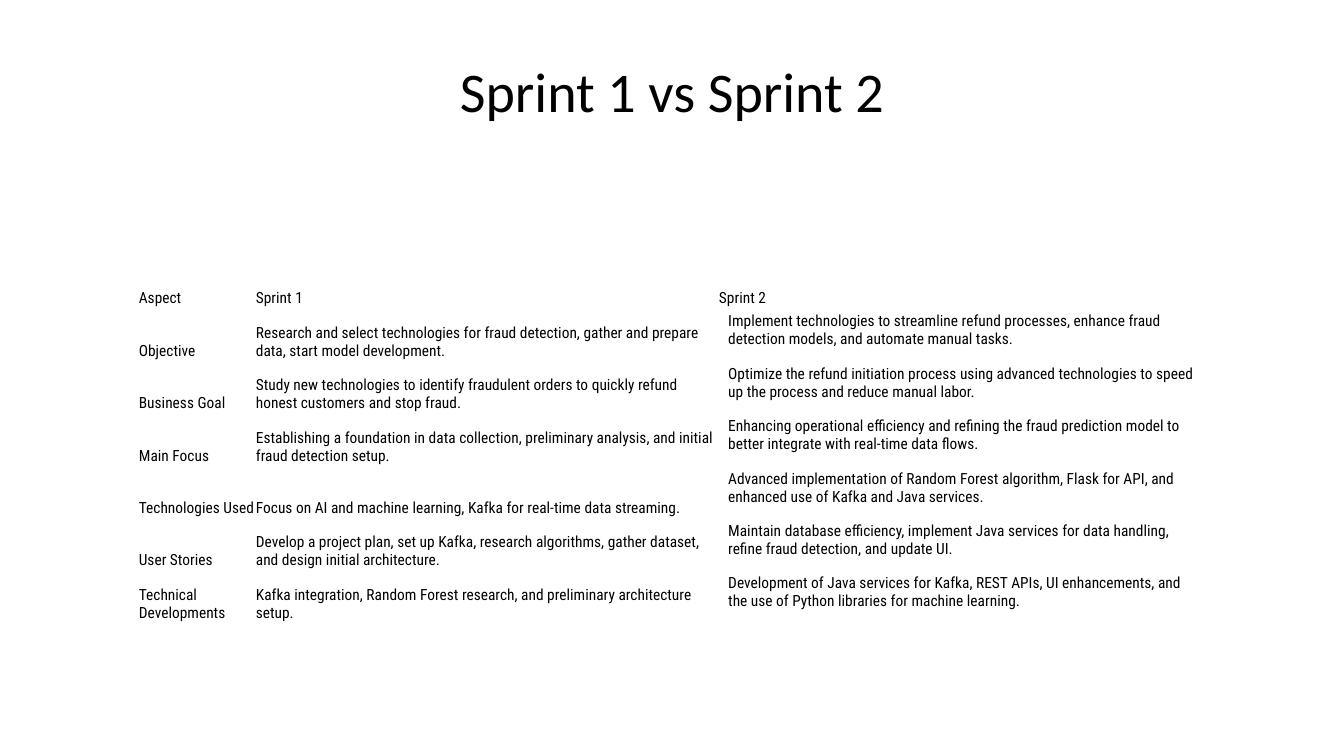
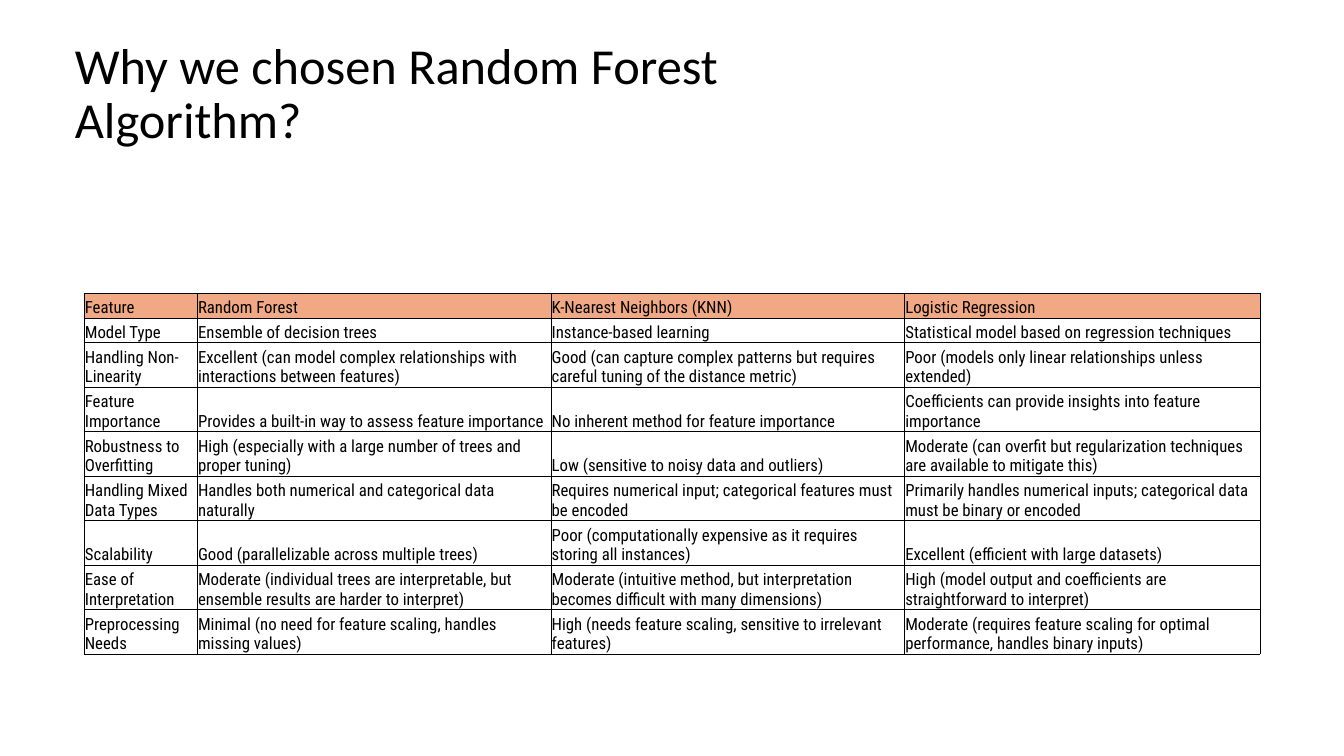
from dataclasses import dataclass
from typing import Optional

from lxml.etree import SubElement
from pptx import Presentation
from pptx.dml.color import RGBColor
from pptx.enum.shapes import MSO_SHAPE
from pptx.enum.text import MSO_ANCHOR, PP_ALIGN
from pptx.oxml import parse_xml
from pptx.oxml.ns import nsdecls, qn
from pptx.slide import Slide
from pptx.table import _Cell
from pptx.util import Pt


@dataclass(frozen=True)
class Theme:
    white: str = "FFFFFF"
    ink: str = "000000"
    header: str = "F1A983"
    title_font: str = "Calibri"
    table_font: str = "Roboto Condensed"
    sprint_title_size: float = 40
    algorithm_title_size: float = 36
    sprint_size: float = 11
    algorithm_size: float = 12
    title_spacing: float = 0.9
    border: float = 0.5
    slide_width: float = 960
    slide_height: float = 540
    band_height: float = 134


@dataclass(frozen=True)
class Box:
    left: float
    top: float
    width: float
    height: float


@dataclass(frozen=True)
class Title:
    text: str
    box: Box
    size: float
    align: PP_ALIGN


@dataclass(frozen=True)
class CellStyle:
    anchor: MSO_ANCHOR
    side: float
    top: float
    bottom: float


@dataclass(frozen=True)
class Grid:
    left: float
    top: float
    columns: tuple[float, ...]
    rows: tuple[float, ...]
    size: float
    cells: tuple[tuple[str, ...], ...]
    header_fill: Optional[str] = None
    bordered: bool = False
    merged_from: Optional[int] = None


THEME = Theme()
TIGHT = CellStyle(MSO_ANCHOR.BOTTOM, 0.6, 0.6, 0)
PADDED = CellStyle(MSO_ANCHOR.TOP, 7.2, 3.6, 3.6)
NO_TABLE_STYLE = "{2D5ABB26-0587-4C30-8999-92F81FD0307C}"

SPRINT_TITLE = Title(
    "Sprint 1 vs Sprint 2", Box(90, 21.6, 780, 91.4), THEME.sprint_title_size, PP_ALIGN.CENTER
)
SPRINTS = Grid(
    left=98.6,
    top=198.7,
    columns=(83.6, 330.8, 72) + (27.7,) * 10,
    rows=(20.9,) + (37.45,) * 6,
    size=THEME.sprint_size,
    merged_from=2,
    cells=(
        ("Aspect", "Sprint 1", "Sprint 2"),
        (
            "Objective",
            "Research and select technologies for fraud detection, gather and prepare data, start model development.",
            "Implement technologies to streamline refund processes, enhance fraud detection models, and automate manual tasks.",
        ),
        (
            "Business Goal",
            "Study new technologies to identify fraudulent orders to quickly refund honest customers and stop fraud.",
            "Optimize the refund initiation process using advanced technologies to speed up the process and reduce manual labor.",
        ),
        (
            "Main Focus",
            "Establishing a foundation in data collection, preliminary analysis, and initial fraud detection setup.",
            "Enhancing operational efficiency and refining the fraud prediction model to better integrate with real-time data flows.",
        ),
        (
            "Technologies Used",
            "Focus on AI and machine learning, Kafka for real-time data streaming.",
            "Advanced implementation of Random Forest algorithm, Flask for API, and enhanced use of Kafka and Java services.",
        ),
        (
            "User Stories",
            "Develop a project plan, set up Kafka, research algorithms, gather dataset, and design initial architecture.",
            "Maintain database efficiency, implement Java services for data handling, refine fraud detection, and update UI.",
        ),
        (
            "Technical Developments",
            "Kafka integration, Random Forest research, and preliminary architecture setup.",
            "Development of Java services for Kafka, REST APIs, UI enhancements, and the use of Python libraries for machine learning.",
        ),
    ),
)

ALGORITHM_TITLE = Title(
    "Why we chosen Random Forest Algorithm?",
    Box(46.4, 19.4, 552.2, 97.2),
    THEME.algorithm_title_size,
    PP_ALIGN.LEFT,
)
ALGORITHMS = Grid(
    left=60,
    top=209.5,
    columns=(80.9, 252.6, 252.6, 253.9),
    rows=(17.6,) * 2 + (31.8,) * 7,
    size=THEME.algorithm_size,
    header_fill=THEME.header,
    bordered=True,
    cells=(
        ("Feature", "Random Forest", "K-Nearest Neighbors (KNN)", "Logistic Regression"),
        (
            "Model Type",
            "Ensemble of decision trees",
            "Instance-based learning",
            "Statistical model based on regression techniques",
        ),
        (
            "Handling Non-Linearity",
            "Excellent (can model complex relationships with interactions between features)",
            "Good (can capture complex patterns but requires careful tuning of the distance metric)",
            "Poor (models only linear relationships unless extended)",
        ),
        (
            "Feature Importance",
            "Provides a built-in way to assess feature importance",
            "No inherent method for feature importance",
            "Coefficients can provide insights into feature importance",
        ),
        (
            "Robustness to Overfitting",
            "High (especially with a large number of trees and proper tuning)",
            "Low (sensitive to noisy data and outliers)",
            "Moderate (can overfit but regularization techniques are available to mitigate this)",
        ),
        (
            "Handling Mixed Data Types",
            "Handles both numerical and categorical data naturally",
            "Requires numerical input; categorical features must be encoded",
            "Primarily handles numerical inputs; categorical data must be binary or encoded",
        ),
        (
            "Scalability",
            "Good (parallelizable across multiple trees)",
            "Poor (computationally expensive as it requires storing all instances)",
            "Excellent (efficient with large datasets)",
        ),
        (
            "Ease of Interpretation",
            "Moderate (individual trees are interpretable, but ensemble results are harder to interpret)",
            "Moderate (intuitive method, but interpretation becomes difficult with many dimensions)",
            "High (model output and coefficients are straightforward to interpret)",
        ),
        (
            "Preprocessing Needs",
            "Minimal (no need for feature scaling, handles missing values)",
            "High (needs feature scaling, sensitive to irrelevant features)",
            "Moderate (requires feature scaling for optimal performance, handles binary inputs)",
        ),
    ),
)


def add_run(p, text: str, font: str, size: float) -> None:
    r = p.add_run()
    r.text = text
    r.font.name = font
    r.font.size = Pt(size)
    r.font.color.rgb = RGBColor.from_string(THEME.ink)


def add_band(s: Slide) -> None:
    sp = s.shapes.add_shape(MSO_SHAPE.RECTANGLE, 0, 0, Pt(THEME.slide_width), Pt(THEME.band_height))
    sp.shadow.inherit = False
    sp.fill.solid()
    sp.fill.fore_color.rgb = RGBColor.from_string(THEME.white)
    sp.line.fill.background()


def add_title(s: Slide, title: Title) -> None:
    box = title.box
    sp = s.shapes.add_textbox(Pt(box.left), Pt(box.top), Pt(box.width), Pt(box.height))
    tf = sp.text_frame
    tf.word_wrap = True
    tf.vertical_anchor = MSO_ANCHOR.MIDDLE
    p = tf.paragraphs[0]
    p.alignment = title.align
    p.line_spacing = THEME.title_spacing
    add_run(p, title.text, THEME.title_font, title.size)


def add_borders(cell: _Cell) -> None:
    tc_pr = cell._tc.get_or_add_tcPr()
    for i, side in enumerate(("lnL", "lnR", "lnT", "lnB")):
        line = parse_xml(
            f'<a:{side} {nsdecls("a")} w="{Pt(THEME.border)}">'
            f'<a:solidFill><a:srgbClr val="{THEME.ink}"/></a:solidFill></a:{side}>'
        )
        tc_pr.insert(i, line)


def fill_cell(cell: _Cell, text: str, size: float, style: CellStyle, fill: Optional[str]) -> None:
    cell.vertical_anchor = style.anchor
    cell.margin_left = cell.margin_right = Pt(style.side)
    cell.margin_top = Pt(style.top)
    cell.margin_bottom = Pt(style.bottom)
    if fill:
        cell.fill.solid()
        cell.fill.fore_color.rgb = RGBColor.from_string(fill)
    else:
        cell.fill.background()
    p = cell.text_frame.paragraphs[0]
    if text:
        add_run(p, text, THEME.table_font, size)
    else:
        SubElement(p._p, qn("a:endParaRPr"), sz=str(int(size * 100)))


def add_grid(s: Slide, grid: Grid) -> None:
    count = len(grid.columns)
    frame = s.shapes.add_table(
        len(grid.rows), count, Pt(grid.left), Pt(grid.top), Pt(sum(grid.columns)), Pt(sum(grid.rows))
    )
    table = frame.table
    table.first_row = table.horz_banding = False
    table._tbl.tblPr.find(qn("a:tableStyleId")).text = NO_TABLE_STYLE
    for column, width in zip(table.columns, grid.columns):
        column.width = Pt(width)
    for i, (height, texts) in enumerate(zip(grid.rows, grid.cells)):
        table.rows[i].height = Pt(height)
        merged = grid.merged_from if i > 0 else None
        if merged is not None:
            table.cell(i, merged).merge(table.cell(i, count - 1))
        for j, text in enumerate(texts + ("",) * (count - len(texts))):
            cell = table.cell(i, j)
            style = PADDED if j == merged else TIGHT
            fill_cell(cell, text, grid.size, style, grid.header_fill if i == 0 else None)
            if grid.bordered:
                add_borders(cell)


def main() -> None:
    prs = Presentation()
    prs.slide_width = Pt(THEME.slide_width)
    prs.slide_height = Pt(THEME.slide_height)
    for title, grid in ((SPRINT_TITLE, SPRINTS), (ALGORITHM_TITLE, ALGORITHMS)):
        s = prs.slides.add_slide(prs.slide_layouts[6])
        add_band(s)
        add_title(s, title)
        add_grid(s, grid)
    prs.save("out.pptx")


if __name__ == "__main__":
    main()
